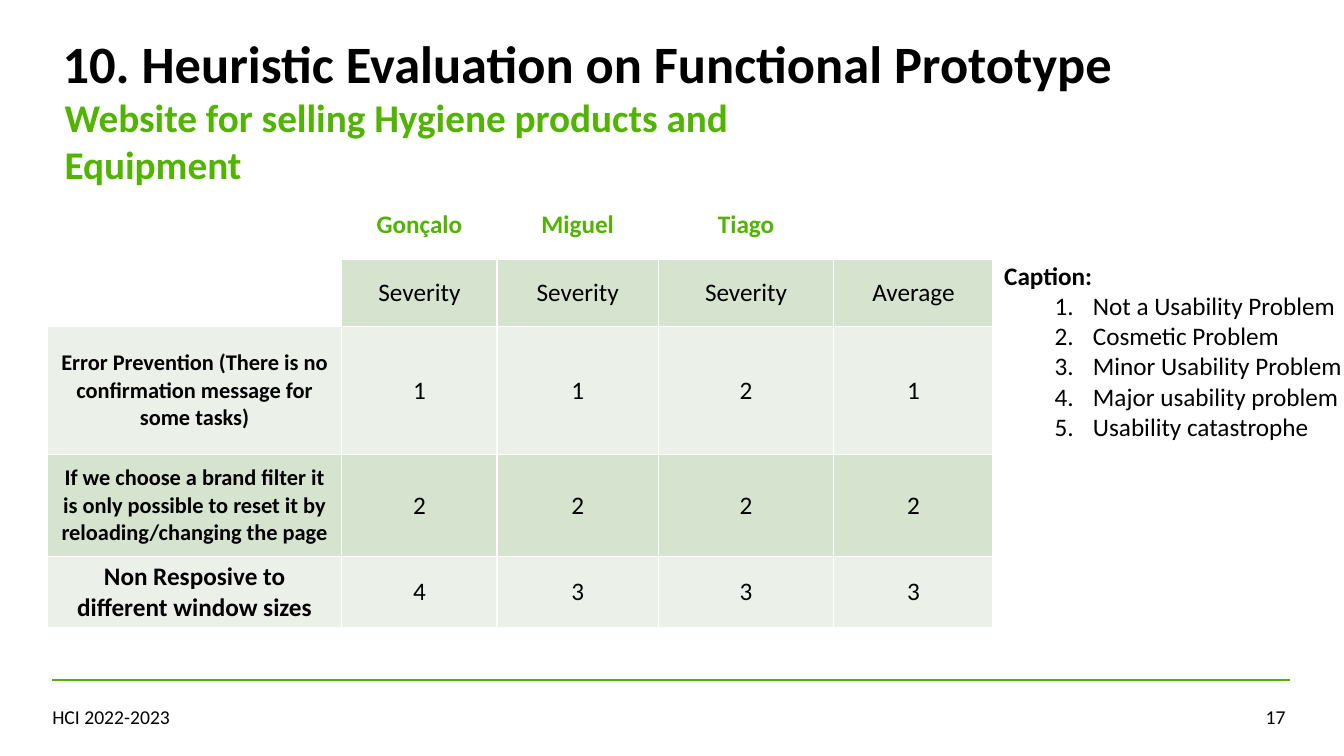
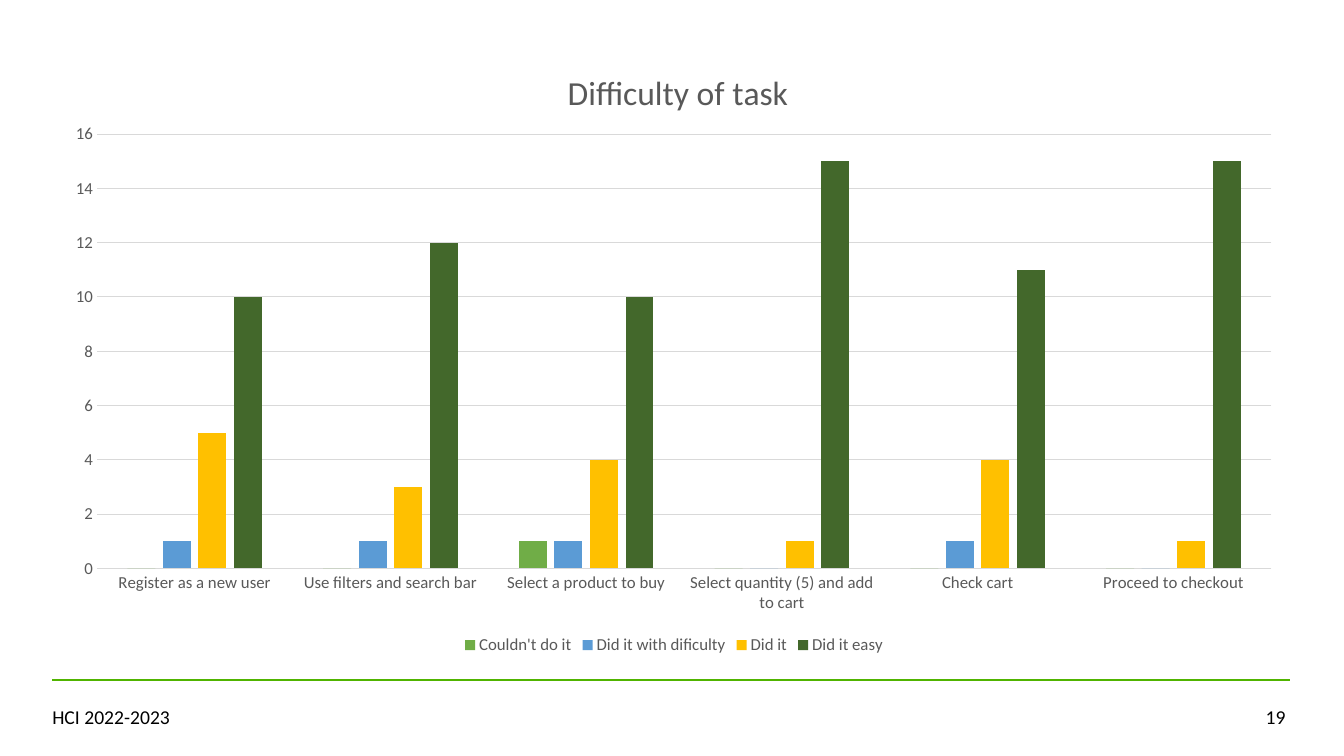
from lxml.etree import SubElement
from pptx import Presentation
from pptx.chart.data import CategoryChartData
from pptx.dml.color import RGBColor
from pptx.enum.chart import XL_CHART_TYPE, XL_LEGEND_POSITION, XL_TICK_MARK
from pptx.enum.shapes import MSO_CONNECTOR
from pptx.enum.text import MSO_ANCHOR, MSO_AUTO_SIZE, PP_ALIGN
from pptx.oxml.ns import qn
from pptx.util import Pt

SCALE = 9144
FONT = "Calibri"
BLACK = RGBColor(0x00, 0x00, 0x00)
WHITE = RGBColor(0xFF, 0xFF, 0xFF)
GREEN = RGBColor(0x50, 0xB4, 0x00)
SAGE = RGBColor(0xD5, 0xE3, 0xCF)
PALE = RGBColor(0xEB, 0xF1, 0xE9)
GRAY = RGBColor(0x59, 0x59, 0x59)
RULE = RGBColor(0xD9, 0xD9, 0xD9)
LEAF = RGBColor(0x70, 0xAD, 0x47)
BLUE = RGBColor(0x5B, 0x9B, 0xD5)
GOLD = RGBColor(0xFF, 0xC0, 0x00)
MOSS = RGBColor(0x43, 0x68, 0x2B)

PEOPLE = ["", "Gonçalo", "Miguel", "Tiago", ""]
HEADS = ["", "Severity", "Severity", "Severity", "Average"]
ISSUES = [
    ("Error Prevention (There is no confirmation message for some tasks)", 16, [1, 1, 2, 1]),
    ("If we choose a brand filter it is only possible to reset it by "
     "reloading/changing the page", 16, [2, 2, 2, 2]),
    ("Non Resposive to different window sizes", 18, [4, 3, 3, 3]),
]
WIDTHS = [292, 154, 160, 174, 158]
HEIGHTS = [67, 67, 127, 101, 67]
LEVELS = ["Not a Usability Problem", "Cosmetic Problem", "Minor Usability Problem",
          "Major usability problem", "Usability catastrophe"]
TASKS = ["Register as a new user", "Use filters and search bar", "Select a product to buy",
         "Select quantity (5) and add to cart", "Check cart", "Proceed to checkout"]
SERIES = [
    ("Couldn't do it", [0, 0, 1, 0, 0, 0], LEAF),
    ("Did it with dificulty", [1, 1, 1, 0, 1, 0], BLUE),
    ("Did it", [5, 3, 4, 1, 4, 1], GOLD),
    ("Did it easy", [10, 12, 10, 15, 11, 15], MOSS),
]


def px(*values):
    return [value * SCALE for value in values]


def style(font, size, color, bold=False):
    font.name = FONT
    font.size = Pt(size)
    font.bold = bold
    font.color.rgb = color


def write(frame, text, size=18, color=BLACK, bold=False, align=PP_ALIGN.LEFT,
          spacing=1.0, start=None):
    para = frame.paragraphs[0] if not frame.text else frame.add_paragraph()
    para.alignment = align
    para.line_spacing = spacing
    para.space_before = Pt(0)
    props = para._p.get_or_add_pPr()
    if start is None:
        props.set("marL", "0")
        props.set("indent", "0")
        SubElement(props, qn("a:buNone"))
    else:
        props.set("marL", str(88 * SCALE))
        props.set("indent", str(-38 * SCALE))
        SubElement(props, qn("a:buFont"), typeface="+mj-lt")
        SubElement(props, qn("a:buAutoNum"), type="arabicPeriod", startAt=str(start))
    run = para.add_run()
    run.text = text
    style(run.font, size, color, bold)


def setup(shape, box, anchor=MSO_ANCHOR.TOP):
    shape.left, shape.top, shape.width, shape.height = px(*box)
    frame = shape.text_frame
    frame.word_wrap = True
    frame.auto_size = MSO_AUTO_SIZE.NONE
    frame.vertical_anchor = anchor
    return frame


def label(slide, box, text, **form):
    frame = setup(slide.shapes.add_textbox(*px(*box)), box)
    write(frame, text, **form)
    return frame


def footer(slide, number):
    line = slide.shapes.add_connector(MSO_CONNECTOR.STRAIGHT, *px(52, 675, 1279, 675))
    line.line.color.rgb = GREEN
    line.line.width = Pt(1.5)
    SubElement(line._element.spPr, qn("a:effectLst"))
    label(slide, (42, 694, 292, 34), "HCI 2022-2023", size=14)
    label(slide, (1205, 694, 80, 34), str(number), size=14, align=PP_ALIGN.RIGHT)


def fill_cell(cell, text, fill, **form):
    cell.fill.solid()
    cell.fill.fore_color.rgb = fill
    cell.vertical_anchor = MSO_ANCHOR.MIDDLE
    if text:
        write(cell.text_frame, text, align=PP_ALIGN.CENTER, **form)


def add_grid(slide):
    shape = slide.shapes.add_table(len(HEIGHTS), len(WIDTHS),
                                   *px(47, 190, sum(WIDTHS), sum(HEIGHTS)))
    table = shape.table
    for column, width in zip(table.columns, px(*WIDTHS)):
        column.width = width
    for row, height in zip(table.rows, px(*HEIGHTS)):
        row.height = height
    for col, (name, head) in enumerate(zip(PEOPLE, HEADS)):
        fill_cell(table.cell(0, col), name, WHITE, color=GREEN, bold=True)
        fill_cell(table.cell(1, col), head, SAGE if head else WHITE)
    for row, (issue, size, scores) in enumerate(ISSUES, 2):
        fill = SAGE if row % 2 else PALE
        fill_cell(table.cell(row, 0), issue, fill, size=size, bold=True)
        for col, score in enumerate(scores, 1):
            fill_cell(table.cell(row, col), str(score), fill)


def place(parent, **parts):
    layout = parent.find(qn("c:layout"))
    if layout is None:
        layout = parent.makeelement(qn("c:layout"))
        parent.insert(0, layout)
    manual = SubElement(layout, qn("c:manualLayout"))
    if "w" in parts:
        SubElement(manual, qn("c:layoutTarget"), val="inner")
    for side in "xy":
        SubElement(manual, qn(f"c:{side}Mode"), val="edge")
    for key, value in parts.items():
        SubElement(manual, qn(f"c:{key}"), val=str(value))


def add_bars(slide):
    wide, high = 1233, 612
    data = CategoryChartData()
    data.categories = TASKS
    for name, values, _ in SERIES:
        data.add_series(name, values)
    chart = slide.shapes.add_chart(XL_CHART_TYPE.COLUMN_CLUSTERED,
                                   *px(52, 42, wide, high), data).chart
    style(chart.font, 12, GRAY)
    write(chart.chart_title.text_frame, "Difficulty of task", size=24, color=GRAY,
          align=PP_ALIGN.CENTER)
    place(chart.chart_title._element, x=505 / wide, y=21 / high)
    place(chart._chartSpace.chart.plotArea,
          x=44 / wide, y=91 / high, w=1165 / wide, h=431 / high)
    plot = chart.plots[0]
    plot.vary_by_categories = False
    plot.gap_width = 219
    plot.overlap = -27
    for series, (_, _, color) in zip(plot.series, SERIES):
        series.format.fill.solid()
        series.format.fill.fore_color.rgb = color
    for axis in (chart.category_axis, chart.value_axis):
        axis.major_tick_mark = axis.minor_tick_mark = XL_TICK_MARK.NONE
        style(axis.tick_labels.font, 12, GRAY)
    value = chart.value_axis
    value.minimum_scale, value.maximum_scale, value.major_unit = 0, 16, 2
    value.format.line.fill.background()
    for line in (chart.category_axis.format.line, value.major_gridlines.format.line):
        line.color.rgb = RULE
        line.width = Pt(0.75)
    chart.has_legend = True
    chart.legend.position = XL_LEGEND_POSITION.BOTTOM
    chart.legend.include_in_layout = False
    style(chart.legend.font, 12, GRAY)


def add_key(shape):
    frame = setup(shape, (986, 253, 347, 222))
    frame.margin_right = 0
    write(frame, "Caption:", bold=True)
    for level in LEVELS:
        write(frame, level, start=0)


def main():
    deck = Presentation()
    deck.slide_width, deck.slide_height = px(1333, 750)

    review = deck.slides.add_slide(deck.slide_layouts[1])
    footer(review, 17)
    title = setup(review.shapes.title, (52, 37, 1228, 60), MSO_ANCHOR.BOTTOM)
    write(title, "10. Heuristic Evaluation on Functional Prototype", size=37.5,
          bold=True, spacing=0.7)
    topic = label(review, (64, 93, 826, 94),
                  "Website for selling Hygiene products and Equipment",
                  size=28, color=GREEN, bold=True)
    topic.margin_left = topic.margin_right = topic.margin_top = topic.margin_bottom = 0
    add_grid(review)
    add_key(review.placeholders[1])

    results = deck.slides.add_slide(deck.slide_layouts[6])
    footer(results, 19)
    add_bars(results)
    deck.save("out.pptx")


if __name__ == "__main__":
    main()
